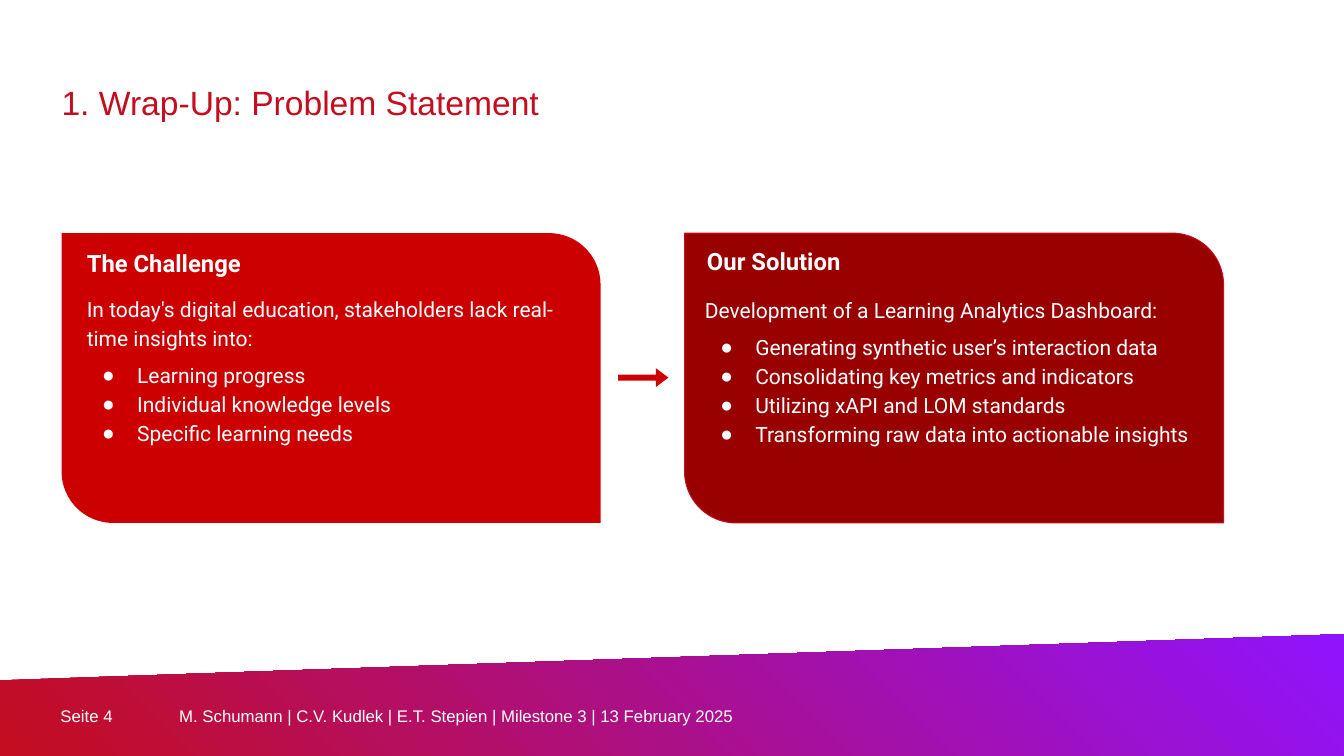
from dataclasses import dataclass
from lxml.etree import SubElement
from pptx import Presentation
from pptx.dml.color import RGBColor as Rgb
from pptx.enum.shapes import MSO_SHAPE as Kind
from pptx.enum.text import MSO_ANCHOR as Anchor, MSO_AUTO_SIZE as Fit, PP_ALIGN as Align
from pptx.oxml.ns import qn
from pptx.util import Pt

# Content
TITLE = "1. Wrap-Up: Problem Statement"
CARDS = [
    {"head": "The Challenge",
     "lead": "In today's digital education, stakeholders lack real-time insights into:",
     "list": ["Learning progress", "Individual knowledge levels",
              "Specific learning needs"],
     "fill": "CC0000", "line": None,
     "left": 44, "spots": [(52.5, 168.5, 310, 34.5), (52.5, 199.5, 367, 141)]},
    {"head": "Our Solution",
     "lead": "Development of a Learning Analytics Dashboard:",
     "list": ["Generating synthetic user’s interaction data",
              "Consolidating key metrics and indicators",
              "Utilizing xAPI and LOM standards",
              "Transforming raw data into actionable insights"],
     "fill": "990000", "line": "C40D1E",
     "left": 489, "spots": [(495.5, 166.5, 310, 34.5), (494, 200, 376, 170.5)]},
]
FOOTER = [
    ("Seite 4", (43.2, 504, 85, 15)),
    ("M. Schumann | C.V. Kudlek | E.T. Stepien | Milestone 3 | 13 February 2025",
     (128, 504, 600, 14.5)),
]


@dataclass
class Theme:
    red: str = "C40D1E"
    violet: str = "9013FE"
    arrow: str = "CC0000"
    white: str = "FFFFFF"
    sans: str = "Arial"
    card: str = "Roboto"
    title: int = 24
    head: int = 17
    body: int = 15
    foot: int = 12


theme = Theme()
WIDE, HIGH = 960, 540
CARD_TOP, CARD_W, CARD_H = 166.5, 385, 207


def rgb(code):
    return Rgb.from_string(code)


def paint(shape, fill, line=None):
    shape.shadow.inherit = False
    shape.fill.solid()
    shape.fill.fore_color.rgb = rgb(fill)
    if line:
        shape.line.color.rgb = rgb(line)
        shape.line.width = Pt(0.75)
    else:
        shape.line.fill.background()


def place(shape, box):
    shape.left, shape.top, shape.width, shape.height = map(Pt, box)


def frame(shape, inset, anchor):
    text = shape.text_frame
    text.word_wrap = True
    text.auto_size = Fit.NONE
    text.vertical_anchor = anchor
    text.margin_left = text.margin_right = Pt(inset)
    text.margin_top = text.margin_bottom = Pt(inset)
    return text


def style(para, font, size, color, bold=False, space=1.0, before=0):
    para.alignment = Align.LEFT
    para.line_spacing = space
    para.space_before = Pt(before)
    para.font.name = font
    para.font.size = Pt(size)
    para.font.bold = bold
    para.font.color.rgb = rgb(color)


def bullet(para, char=None):
    props = para._p.get_or_add_pPr()
    props.set("marL", str(Pt(36 if char else 0)))
    props.set("indent", str(Pt(-25 if char else 0)))
    # Bullet tags must come before the default run properties
    mark = SubElement(props, qn("a:buChar" if char else "a:buNone"))
    if char:
        mark.set("char", char)
    props.find(qn("a:defRPr")).addprevious(mark)


deck = Presentation()
deck.slide_width, deck.slide_height = Pt(WIDE), Pt(HIGH)
slide = deck.slides.add_slide(deck.slide_layouts.get_by_name("Comparison"))
shapes = slide.shapes
title, *slots = slide.placeholders

# Slanted footer band
pen = shapes.build_freeform(0, 486, scale=Pt(1))
pen.add_line_segments([(WIDE, 453), (WIDE, HIGH), (0, HIGH)])
band = pen.convert_to_shape()
paint(band, theme.red)
band.fill.gradient()
band.fill.gradient_angle = 45
for stop, code in zip(band.fill.gradient_stops, (theme.red, theme.violet)):
    stop.color.rgb = rgb(code)

# Footer text
for words, box in FOOTER:
    note = shapes.add_textbox(*map(Pt, box))
    text = frame(note, 0, Anchor.MIDDLE)
    text.text = words
    style(text.paragraphs[0], theme.sans, theme.foot, theme.white)

# Title
place(title, (44, 31, 654.5, 56))
text = frame(title, 0, Anchor.BOTTOM)
text.text = TITLE
style(text.paragraphs[0], theme.sans, theme.title, theme.red, space=1.17)

# Cards with heading and list
for card, head, body in zip(CARDS, slots[::2], slots[1::2]):
    panel = shapes.add_shape(Kind.ROUND_2_DIAG_RECTANGLE, Pt(card["left"]),
                             Pt(CARD_TOP), Pt(CARD_W), Pt(CARD_H))
    panel.adjustments[0], panel.adjustments[1] = 0, 0.178
    paint(panel, card["fill"], card["line"])

    for slot, box in zip((head, body), card["spots"]):
        place(slot, box)
        panel.element.getparent().append(slot.element)

    text = frame(head, 9.5, Anchor.TOP)
    text.text = card["head"]
    style(text.paragraphs[0], theme.card, theme.head, theme.white, bold=True)

    text = frame(body, 9.5, Anchor.TOP)
    text.text = "\n".join([card["lead"], *card["list"]])
    for spot, para in enumerate(text.paragraphs):
        style(para, theme.card, theme.body, theme.white, space=1.15,
              before=6 if spot == 1 else 0)
        bullet(para, "●" if spot else None)

# Arrow between the cards
arrow = shapes.add_shape(Kind.RIGHT_ARROW, Pt(441.5), Pt(263), Pt(36), Pt(13.5))
arrow.adjustments[0], arrow.adjustments[1] = 0.32, 0.67
paint(arrow, theme.arrow)

deck.save("out.pptx")
